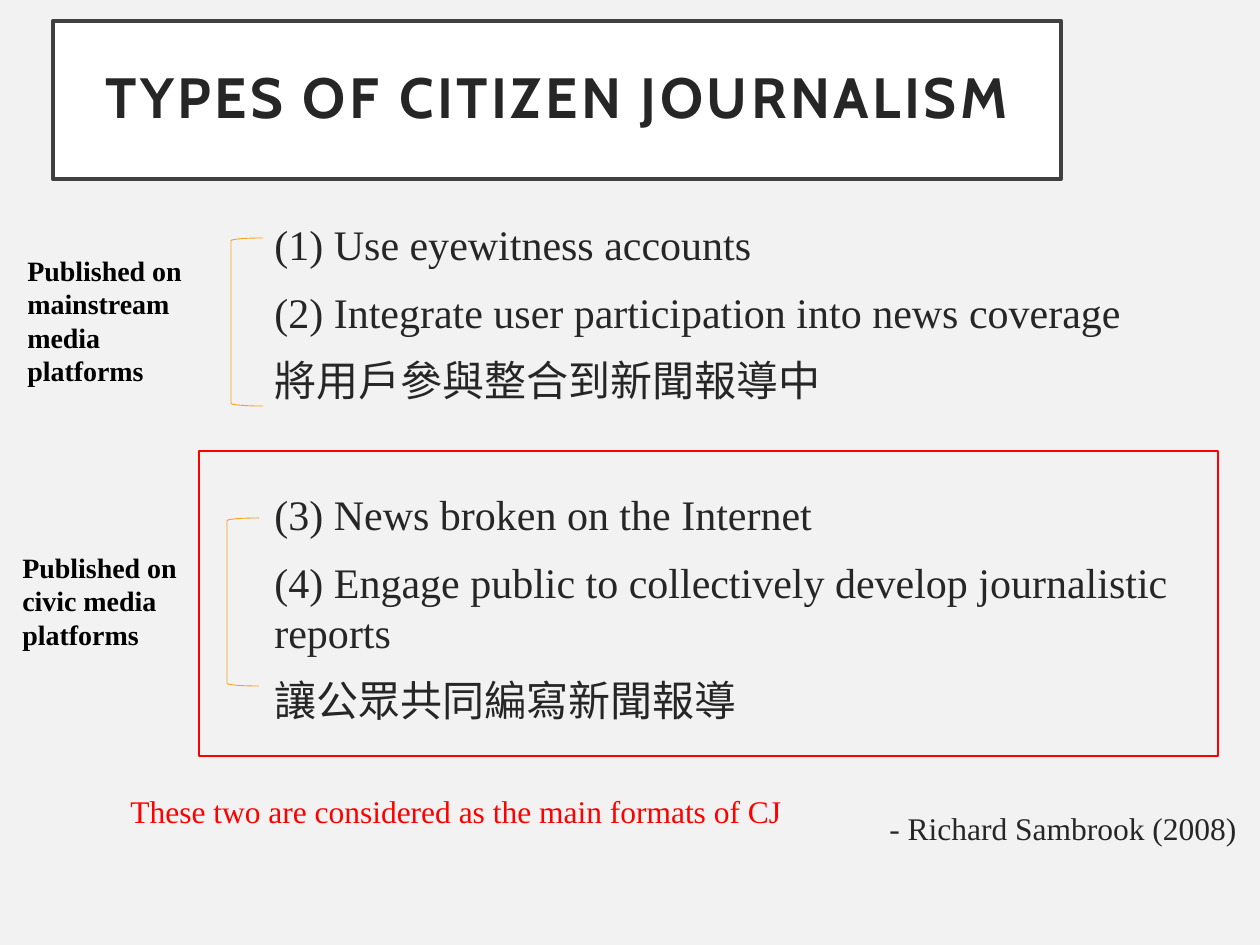
from dataclasses import dataclass

import pptx
import pptx.dml.color
import pptx.enum.shapes
import pptx.enum.text
import pptx.util

RGBColor = pptx.dml.color.RGBColor
Align = pptx.enum.text.PP_ALIGN
Shape = pptx.enum.shapes.MSO_SHAPE

EMU_PER_PX = 914400 / 126
BACKGROUND = RGBColor(0xF2, 0xF2, 0xF2)
WHITE = RGBColor(0xFF, 0xFF, 0xFF)
BLACK = RGBColor(0x00, 0x00, 0x00)
INK = RGBColor(0x26, 0x26, 0x26)
FRAME = RGBColor(0x40, 0x40, 0x40)
ORANGE = RGBColor(0xF6, 0xA2, 0x1D)
RED = RGBColor(0xFF, 0x00, 0x00)
SERIF = "Times New Roman"


@dataclass
class Box:
    left: int
    top: int
    width: int
    height: int

    def emu(self) -> list[int]:
        return [px(n) for n in (self.left, self.top, self.width, self.height)]


@dataclass
class Line:
    text: str
    size: float = 24
    color: RGBColor = INK
    bold: bool = False
    font: str = SERIF
    align: Align = Align.LEFT
    space_before: float = 0


@dataclass
class Group:
    label: str
    label_box: Box
    bracket_box: Box


def px(length: int) -> int:
    return round(length * EMU_PER_PX)


def add_outline(slide, kind: Shape, box: Box, color: RGBColor, weight: float):
    shape = slide.shapes.add_shape(kind, *box.emu())
    shape.shadow.inherit = False
    shape.fill.background()
    shape.line.color.rgb = color
    shape.line.width = pptx.util.Pt(weight)
    return shape


def write(frame, lines: list[Line]) -> None:
    frame.word_wrap = True
    for index, line in enumerate(lines):
        paragraph = frame.paragraphs[0] if index == 0 else frame.add_paragraph()
        paragraph.alignment = line.align
        if line.space_before:
            paragraph.space_before = pptx.util.Pt(line.space_before)
        run = paragraph.add_run()
        run.text = line.text
        run.font.name = line.font
        run.font.size = pptx.util.Pt(line.size)
        run.font.bold = line.bold
        run.font.color.rgb = line.color


def add_text(slide, box: Box, lines: list[Line], grow: bool = True) -> None:
    frame = slide.shapes.add_textbox(*box.emu()).text_frame
    write(frame, lines)
    if grow:
        frame.auto_size = pptx.enum.text.MSO_AUTO_SIZE.SHAPE_TO_FIT_TEXT


def add_title(slide, box: Box, text: str) -> None:
    shape = add_outline(slide, Shape.RECTANGLE, box, FRAME, 2.5)
    shape.fill.solid()
    shape.fill.fore_color.rgb = WHITE
    frame = shape.text_frame
    frame.vertical_anchor = pptx.enum.text.MSO_ANCHOR.MIDDLE
    inset = pptx.util.Inches(0.2)
    frame.margin_left = frame.margin_right = inset
    frame.margin_top = frame.margin_bottom = inset
    write(frame, [Line(text, 32.4, bold=True, font="Cabin", align=Align.CENTER)])
    paragraph = frame.paragraphs[0]
    paragraph.line_spacing = 0.9
    # Letter spacing, in hundredths of a point
    paragraph.runs[0].font._element.set("spc", "200")


GAP = 10
SECTION_GAP = 48
BODY = [
    Line("(1) Use eyewitness accounts"),
    Line("(2) Integrate user participation into news coverage", space_before=GAP),
    Line("將用戶參與整合到新聞報導中", space_before=GAP),
    Line("(3) News broken on the Internet", space_before=SECTION_GAP),
    Line("(4) Engage public to collectively develop journalistic reports", space_before=GAP),
    Line("讓公眾共同編寫新聞報導", space_before=GAP),
    Line("- Richard Sambrook (2008)", 18, align=Align.RIGHT, space_before=SECTION_GAP),
]
GROUPS = [
    Group("Published on mainstream media platforms",
          Box(15, 247, 199, 149), Box(231, 238, 32, 168)),
    Group("Published on civic media platforms",
          Box(10, 544, 199, 115), Box(227, 518, 32, 168)),
]


def main() -> None:
    presentation = pptx.Presentation()
    presentation.slide_width = px(1260)
    presentation.slide_height = px(945)
    slide = presentation.slides.add_slide(presentation.slide_layouts[6])
    slide.background.fill.solid()
    slide.background.fill.fore_color.rgb = BACKGROUND

    # Title and list
    add_title(slide, Box(53, 21, 1008, 158), "TYPES OF CITIZEN JOURNALISM")
    add_text(slide, Box(262, 212, 987, 703), BODY, grow=False)

    # Bracketed groups with their labels
    for group in GROUPS:
        add_outline(slide, Shape.LEFT_BRACKET, group.bracket_box, ORANGE, 0.5)
        add_text(slide, group.label_box, [Line(group.label, 16, BLACK, bold=True)])

    # Highlight of the main formats
    add_outline(slide, Shape.RECTANGLE, Box(199, 451, 1019, 305), RED, 1)
    add_text(slide, Box(118, 786, 716, 50),
             [Line("These two are considered as the main formats of CJ", 18, RED)])

    presentation.save("out.pptx")


if __name__ == "__main__":
    main()
